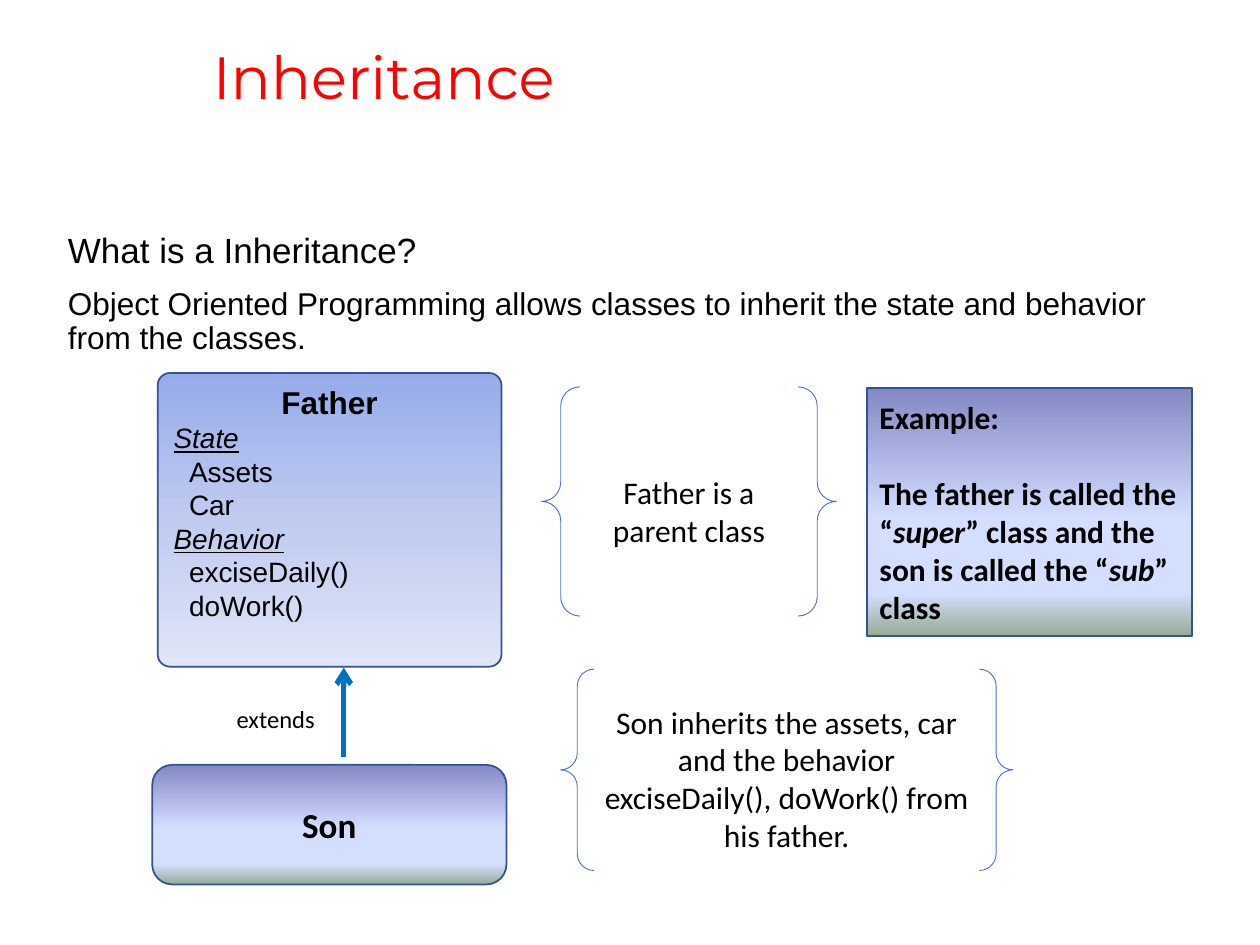
from lxml import etree
from pptx import Presentation
from pptx.dml.color import RGBColor
from pptx.enum import shapes, text
from pptx.oxml.ns import qn
from pptx.util import Cm, Pt

COLORS = {"title": "FF0000", "text": "000000", "outline": "325491",
          "brace": "4472C4", "arrow": "0070C0"}
GRADIENTS = {
    "father": [(0, "96ABEA"), (50, "C0CBF0"), (100, "E0E5F7")],
    "steel": [(0, "8488C4"), (53, "D4DEFF"), (83, "D4DEFF"), (100, "96AB94")],
}
KINDS = shapes.MSO_SHAPE
CENTER = text.PP_ALIGN.CENTER
LEFT = text.PP_ALIGN.LEFT
MIDDLE = text.MSO_ANCHOR.MIDDLE
TOP = text.MSO_ANCHOR.TOP

# Content: a paragraph is (runs, paragraph format, indent in cm);
# a run is (wording, font format)
HEADING = {"italic": True, "underline": True}
BODY = {"line_spacing": 0.9, "space_before": Pt(10)}
MEMBER_INDENT = 0.31


def line(wording, font=None, form=None, indent=0):
    return [(wording, font or {})], form or {}, indent


FATHER = [line("Father", {"size": Pt(18), "bold": True}, {"alignment": CENTER})]
for heading, members in (("State", ["Assets", "Car"]),
                         ("Behavior", ["exciseDaily()", "doWork()"])):
    FATHER.append(line(heading, HEADING))
    FATHER += [line(member, indent=MEMBER_INDENT) for member in members]

EXAMPLE = [
    line("Example:"),
    ([("The father is called the “", {}), ("super", {"italic": True}),
      ("” class and the son is called the “", {}), ("sub", {"italic": True}),
      ("” class", {})], {"space_before": Pt(22)}, 0),
]

# Text boxes: place in cm, paragraphs, base font, alignment, anchor
TEXT_BOXES = [
    ((4.04, 0.03, 21.36, 3.18), [line("Inheritance", form={"line_spacing": 0.9})],
     ("Montserrat", 34, "title", False), LEFT, MIDDLE),
    ((1.12, 4.57, 23.01, 12.19),
     [line("What is a Inheritance?", {"size": Pt(20)}, BODY),
      line("Object Oriented Programming allows classes to inherit the state "
           "and behavior from the classes.", form=BODY)],
     ("Arial", 18, "text", False), LEFT, TOP),
    ((4.34, 14.05, 2.44, 0.86), [line("extends")],
     ("Calibri", 14, "text", False), CENTER, MIDDLE),
]

# Shapes: kind, corner, gradient, then as for the text boxes
SHAPES = [
    (KINDS.ROUNDED_RECTANGLE, 0.042, "father", (3.18, 7.52, 6.93, 5.92), FATHER,
     ("Arial", 16, "text", False), LEFT, TOP),
    (KINDS.ROUNDED_RECTANGLE, None, "steel", (3.07, 15.42, 7.14, 2.41),
     [line("Son")], ("Calibri", 20, "text", True), CENTER, MIDDLE),
    (KINDS.DOUBLE_BRACE, None, None, (10.92, 7.8, 5.94, 4.62),
     [line("Father is a parent class")],
     ("Calibri", 18, "text", False), CENTER, MIDDLE),
    (KINDS.DOUBLE_BRACE, None, None, (11.3, 13.49, 9.12, 4.06),
     [line("Son inherits the assets, car and the behavior exciseDaily(), "
           "doWork() from his father.")],
     ("Calibri", 18, "text", False), CENTER, MIDDLE),
    (KINDS.RECTANGLE, None, "steel", (17.48, 7.82, 6.55, 5), EXAMPLE,
     ("Calibri", 18, "text", True), LEFT, MIDDLE),
]
ARROW = (6.93, 15.27, 6.93, 13.46)


def rgb(name):
    return RGBColor.from_string(COLORS[name])


def apply(target, values):
    for name, value in values.items():
        setattr(target, name, value)


def write(shape, paragraphs, base, alignment, anchor):
    face, size, color, bold = base
    frame = shape.text_frame
    apply(frame, {"word_wrap": True, "vertical_anchor": anchor})
    for number, (runs, form, indent) in enumerate(paragraphs):
        paragraph = frame.add_paragraph() if number else frame.paragraphs[0]
        apply(paragraph, {"alignment": alignment, **form})
        if indent:
            paragraph._p.get_or_add_pPr().set("marL", str(Cm(indent)))
        for wording, font in runs:
            run = paragraph.add_run()
            run.text = wording
            apply(run.font, {"name": face, "size": Pt(size), "bold": bold, **font})
            run.font.color.rgb = rgb(color)


def fill_gradient(shape, stops):
    shape.fill.gradient()
    shape.fill.gradient_angle = 270  # top to bottom
    stop_list = shape._element.spPr.find(".//" + qn("a:gsLst"))
    for old in list(stop_list):
        stop_list.remove(old)
    for percent, color in stops:
        stop = etree.SubElement(stop_list, qn("a:gs"), pos=str(percent * 1000))
        etree.SubElement(stop, qn("a:srgbClr"), val=color)


def add_box(slide, kind, corner, gradient, place, *content):
    shape = slide.shapes.add_shape(kind, *map(Cm, place))
    shape.shadow.inherit = False
    if corner is not None:
        shape.adjustments[0] = corner
    if gradient:
        fill_gradient(shape, GRADIENTS[gradient])
    else:
        shape.fill.background()
    shape.line.color.rgb = rgb("outline" if gradient else "brace")
    shape.line.width = Pt(1 if gradient else 0.5)
    write(shape, *content)


def add_arrow(slide):
    arrow = slide.shapes.add_connector(shapes.MSO_CONNECTOR.STRAIGHT, *map(Cm, ARROW))
    arrow.line.color.rgb = rgb("arrow")
    arrow.line.width = Pt(3)
    etree.SubElement(arrow.line._get_or_add_ln(), qn("a:tailEnd"), type="arrow")
    etree.SubElement(arrow._element.spPr, qn("a:effectLst"))


def main():
    presentation = Presentation()
    presentation.slide_width, presentation.slide_height = Cm(25.4), Cm(19.05)
    slide = presentation.slides.add_slide(presentation.slide_layouts[6])

    # Title, definition and arrow label
    for place, *content in TEXT_BOXES:
        write(slide.shapes.add_textbox(*map(Cm, place)), *content)
    # Classes, explanations and example
    for box in SHAPES:
        add_box(slide, *box)
    # Son extends Father
    add_arrow(slide)

    presentation.save("out.pptx")


if __name__ == "__main__":
    main()
